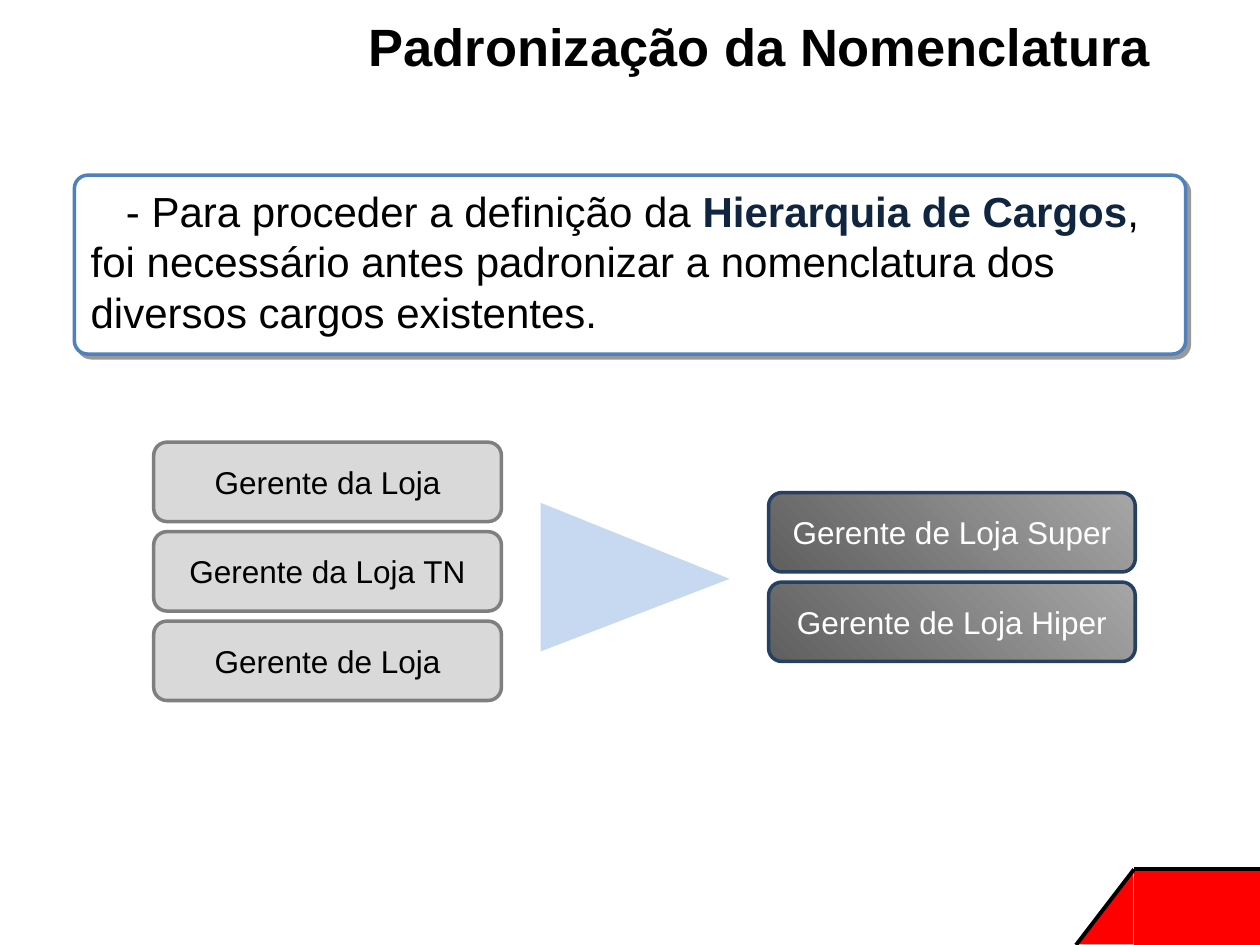
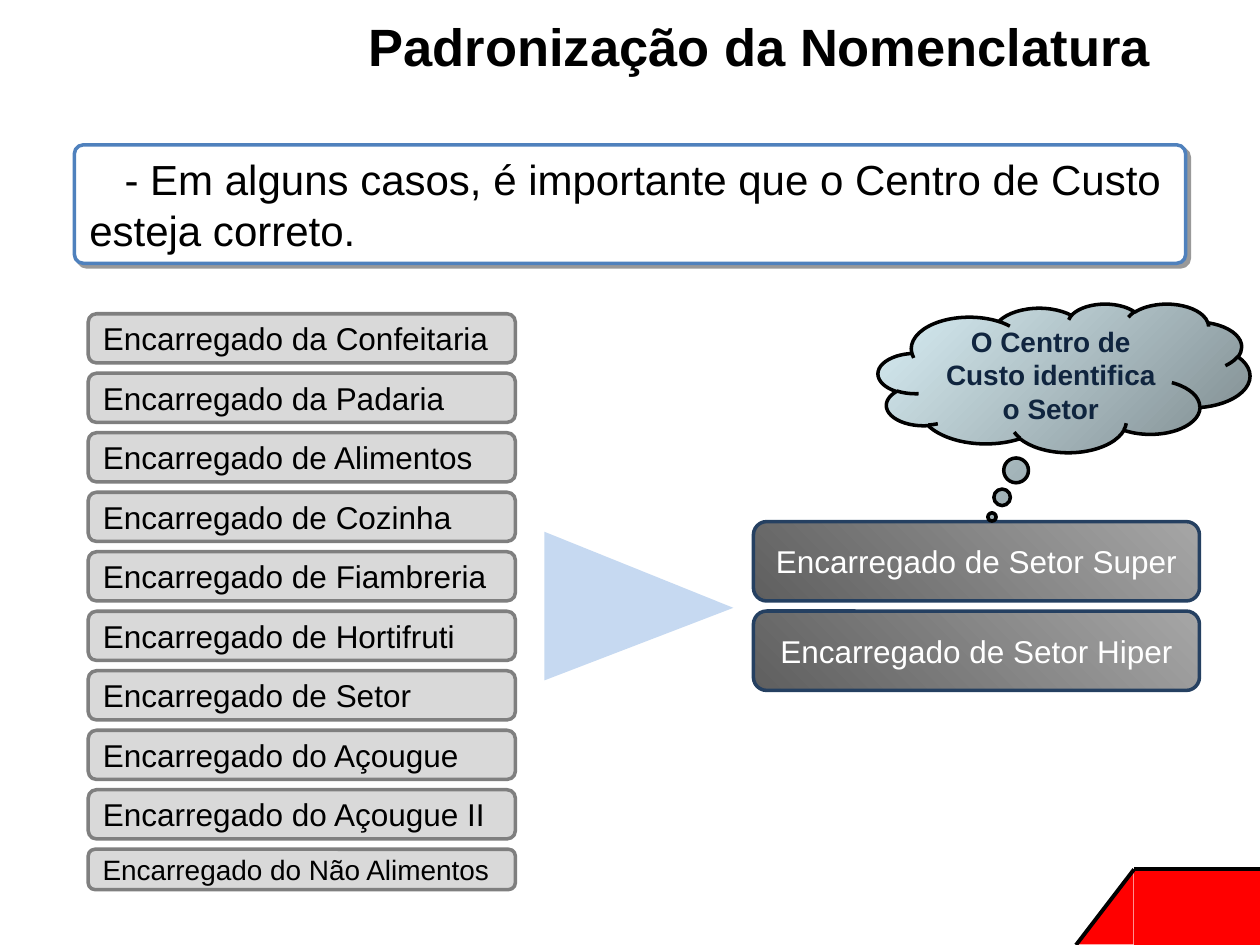
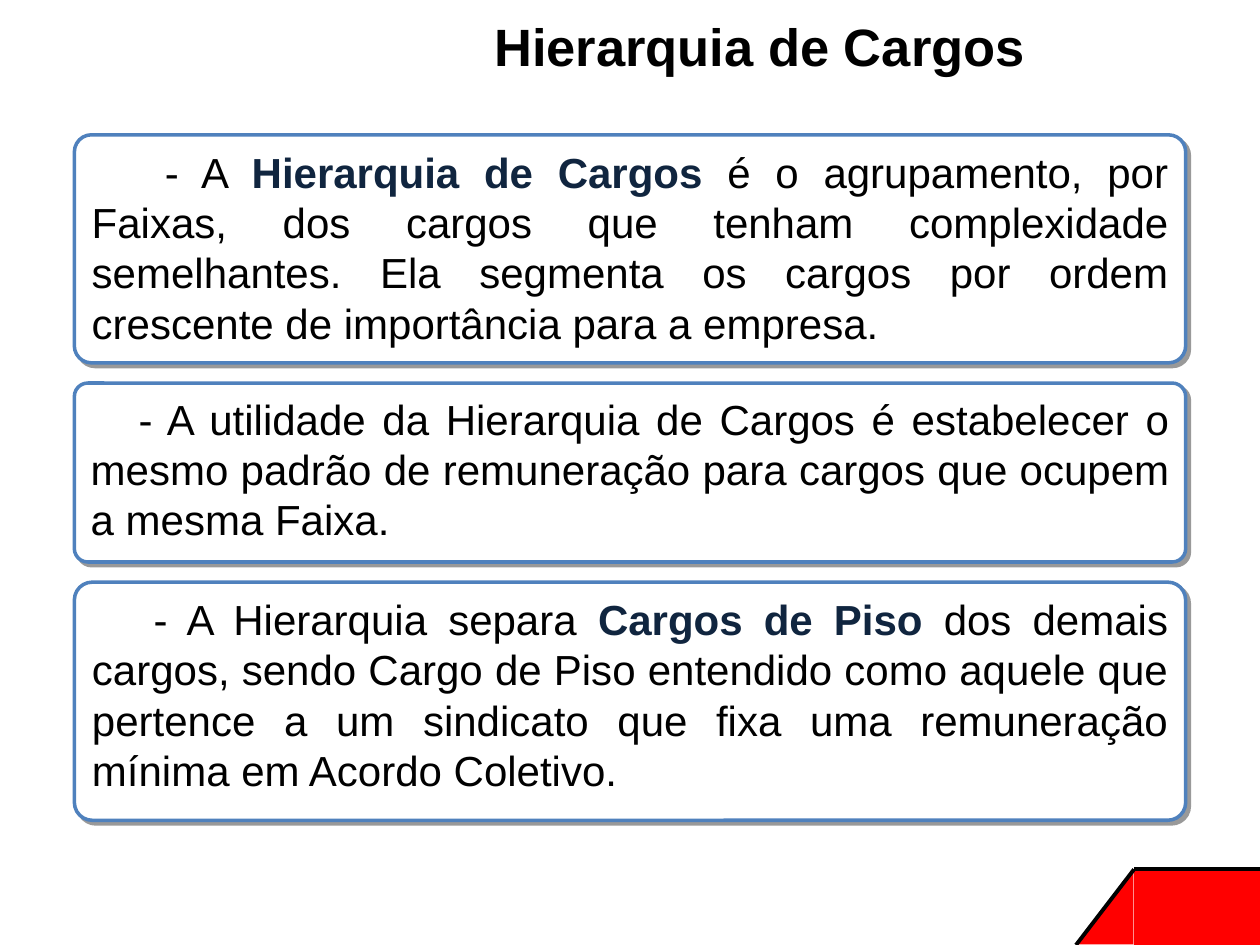
from dataclasses import dataclass

from lxml.etree import SubElement
from pptx import Presentation
from pptx.dml.color import RGBColor
from pptx.enum.shapes import MSO_CONNECTOR, MSO_SHAPE
from pptx.enum.text import MSO_ANCHOR, PP_ALIGN
from pptx.oxml.ns import qn
from pptx.util import Inches, Pt


@dataclass(frozen=True)
class Theme:
    font: str = "Arial"
    title_size: int = 30
    statement_size: int = 24
    card_size: int = 18
    small_size: int = 16
    black: str = "000000"
    white: str = "FFFFFF"
    red: str = "FF0000"
    navy: str = "10253F"
    blue: str = "4F81BD"
    arrow: str = "C6D9F1"
    old_fill: str = "D9D9D9"
    old_line: str = "7F7F7F"
    new_fill: tuple = ("5F5F5F", "A6A6A6", 45)
    new_line: str = "254061"
    cloud_fill: tuple = ("7E8B8F", "D9EFF5", 135)


theme = Theme()


def add_box(slide, kind, bounds, fill, line=None, text="", size=theme.card_size,
            color=theme.black, align=PP_ALIGN.CENTER):
    """Add a shape with a flat or (start, end, angle) gradient fill."""
    box = slide.shapes.add_shape(kind, *map(Inches, bounds))
    box.shadow.inherit = False
    if isinstance(fill, tuple):
        box.fill.gradient()
        box.fill.gradient_angle = fill[2]
        for stop, shade in zip(box.fill.gradient_stops, fill):
            stop.color.rgb = RGBColor.from_string(shade)
    else:
        box.fill.solid()
        box.fill.fore_color.rgb = RGBColor.from_string(fill)
    if line:
        box.line.color.rgb = RGBColor.from_string(line)
        box.line.width = Pt(2)
    else:
        box.line.fill.background()
    if text:
        box.text_frame.text = text
        para = box.text_frame.paragraphs[0]
        para.alignment = align
        font = para.runs[0].font
        font.name, font.size = theme.font, Pt(size)
        font.color.rgb = RGBColor.from_string(color)
    return box


def add_statement(slide, top, height, parts, indent=0.28, align=PP_ALIGN.LEFT):
    """Add a framed statement; every second part is emphasised."""
    box = add_box(slide, MSO_SHAPE.ROUNDED_RECTANGLE, (0.59, top, 8.82, height),
                  theme.white, theme.blue)
    box.adjustments[0] = 0.075
    effects = box.element.spPr.find(qn("a:effectLst"))
    shadow = SubElement(effects, qn("a:outerShdw"), blurRad="0", dist=str(Pt(3)),
                        dir="2700000", algn="tl", rotWithShape="0")
    shade = SubElement(shadow, qn("a:srgbClr"), val=theme.black)
    SubElement(shade, qn("a:alpha"), val="40000")
    box.text_frame.vertical_anchor = MSO_ANCHOR.TOP
    para = box.text_frame.paragraphs[0]
    para.alignment = align
    para._p.get_or_add_pPr().set("indent", str(Inches(indent)))
    for index, part in enumerate(parts):
        span = para.add_run()
        span.text = part
        span.font.name, span.font.size = theme.font, Pt(theme.statement_size)
        span.font.bold = index % 2 == 1
        span.font.color.rgb = RGBColor.from_string(theme.navy if span.font.bold else theme.black)


deck = Presentation()
deck.slide_width, deck.slide_height = Inches(10), Inches(7.5)

# Shared layout: title position only, without date, footer and number
layout = deck.slide_layouts[5]
for holder in list(layout.placeholders):
    if holder.placeholder_format.idx == 0:
        holder.left, holder.top = Inches(2.56), Inches(0.05)
        holder.width, holder.height = Inches(6.94), Inches(0.63)
    else:
        holder.element.getparent().remove(holder.element)

# Slides and titles
slides = []
for heading in ("Padronização da Nomenclatura", "Padronização da Nomenclatura",
                "Hierarquia de Cargos"):
    slide = deck.slides.add_slide(layout)
    slide.shapes.title.text_frame.text = heading
    para = slide.shapes.title.text_frame.paragraphs[0]
    para.alignment = PP_ALIGN.CENTER
    font = para.runs[0].font
    font.name, font.size, font.bold = theme.font, Pt(theme.title_size), True
    font.color.rgb = RGBColor.from_string(theme.black)
    slides.append(slide)
stores, sectors, hierarchy = slides

# Red corner, drawn once and moved to the shared layout
corner = [add_box(stores, MSO_SHAPE.RECTANGLE, (9, 6.9, 1, 0.6), theme.red),
          add_box(stores, MSO_SHAPE.RIGHT_TRIANGLE, (8.47, 6.97, 0.6, 0.45), theme.red)]
corner[1].rotation = 270
for start, end in (((9, 6.9), (8.54, 7.5)), ((10, 6.9), (9, 6.9))):
    edge = stores.shapes.add_connector(MSO_CONNECTOR.STRAIGHT, *map(Inches, start + end))
    edge.line.color.rgb = RGBColor.from_string(theme.black)
    edge.line.width = Pt(2.25)
    SubElement(edge.element.spPr, qn("a:effectLst"))
    corner.append(edge)
for piece in corner:
    layout.shapes.element.append(piece.element)

# Statements above the two naming diagrams
add_statement(stores, 1.39, 1.42, (
    "- Para proceder a definição da ", "Hierarquia de Cargos",
    ", foi necessário antes padronizar a nomenclatura dos diversos cargos existentes."))
add_statement(sectors, 1.15, 0.94, (
    "- Em alguns casos, é importante que o Centro de Custo esteja correto.",))

# Old names of the store managers
for index, name in enumerate(("Gerente da Loja", "Gerente da Loja TN", "Gerente de Loja")):
    add_box(stores, MSO_SHAPE.ROUNDED_RECTANGLE, (1.22, 3.51 + 0.71 * index, 2.76, 0.63),
            theme.old_fill, theme.old_line, name)

# Old names of the sector supervisors; the last card is lower
old_sectors = ("da Confeitaria", "da Padaria", "de Alimentos", "de Cozinha", "de Fiambreria",
               "de Hortifruti", "de Setor", "do Açougue", "do Açougue II", "do Não Alimentos")
for index, sector in enumerate(old_sectors):
    last = index == len(old_sectors) - 1
    add_box(sectors, MSO_SHAPE.ROUNDED_RECTANGLE,
            (0.7, 2.49 + 4.25 / 9 * index, 3.39, 0.32 if last else 0.39),
            theme.old_fill, theme.old_line, f"Encarregado {sector}",
            theme.small_size if last else theme.card_size, align=PP_ALIGN.LEFT)

# Arrows and new names
for slide, role, left, top, width, arrow_left in (
        (stores, "Gerente de Loja", 6.1, 3.91, 2.91, 4.45),
        (sectors, "Encarregado de Setor", 5.98, 4.14, 3.54, 4.48)):
    arrow = add_box(slide, MSO_SHAPE.ISOSCELES_TRIANGLE,
                    (arrow_left, top - 0.08, 1.18, 1.5), theme.arrow)
    arrow.adjustments[0] = 0.512
    arrow.rotation = 90
    for index, store in enumerate(("Super", "Hiper")):
        add_box(slide, MSO_SHAPE.ROUNDED_RECTANGLE, (left, top + 0.71 * index, width, 0.63),
                theme.new_fill, theme.new_line, f"{role} {store}", color=theme.white)

# Thought cloud
cloud = add_box(sectors, MSO_SHAPE.CLOUD_CALLOUT, (6.97, 2.41, 2.95, 1.18), theme.cloud_fill,
                theme.black, "O Centro de Custo identifica o Setor",
                theme.small_size, theme.navy)
cloud.adjustments[0], cloud.adjustments[1] = -0.194, 0.935
cloud.text_frame.paragraphs[0].runs[0].font.bold = True

# Hierarchy statements
for top, height, indent, parts in (
        (1.07, 1.81, 0.58, (
            "- A ", "Hierarquia de Cargos",
            " é o agrupamento, por Faixas, dos cargos que tenham complexidade semelhantes. "
            "Ela segmenta os cargos por ordem crescente de importância para a empresa.")),
        (3.04, 1.42, 0.38, (
            "- A utilidade da Hierarquia de Cargos é estabelecer o mesmo padrão de "
            "remuneração para cargos que ocupem a mesma Faixa.",)),
        (4.62, 1.89, 0.49, (
            "- A Hierarquia separa ", "Cargos de Piso",
            " dos demais cargos, sendo Cargo de Piso entendido como aquele que pertence a um "
            "sindicato que fixa uma remuneração mínima em Acordo Coletivo."))):
    add_statement(hierarchy, top, height, parts, indent, PP_ALIGN.JUSTIFY)

deck.save("out.pptx")
